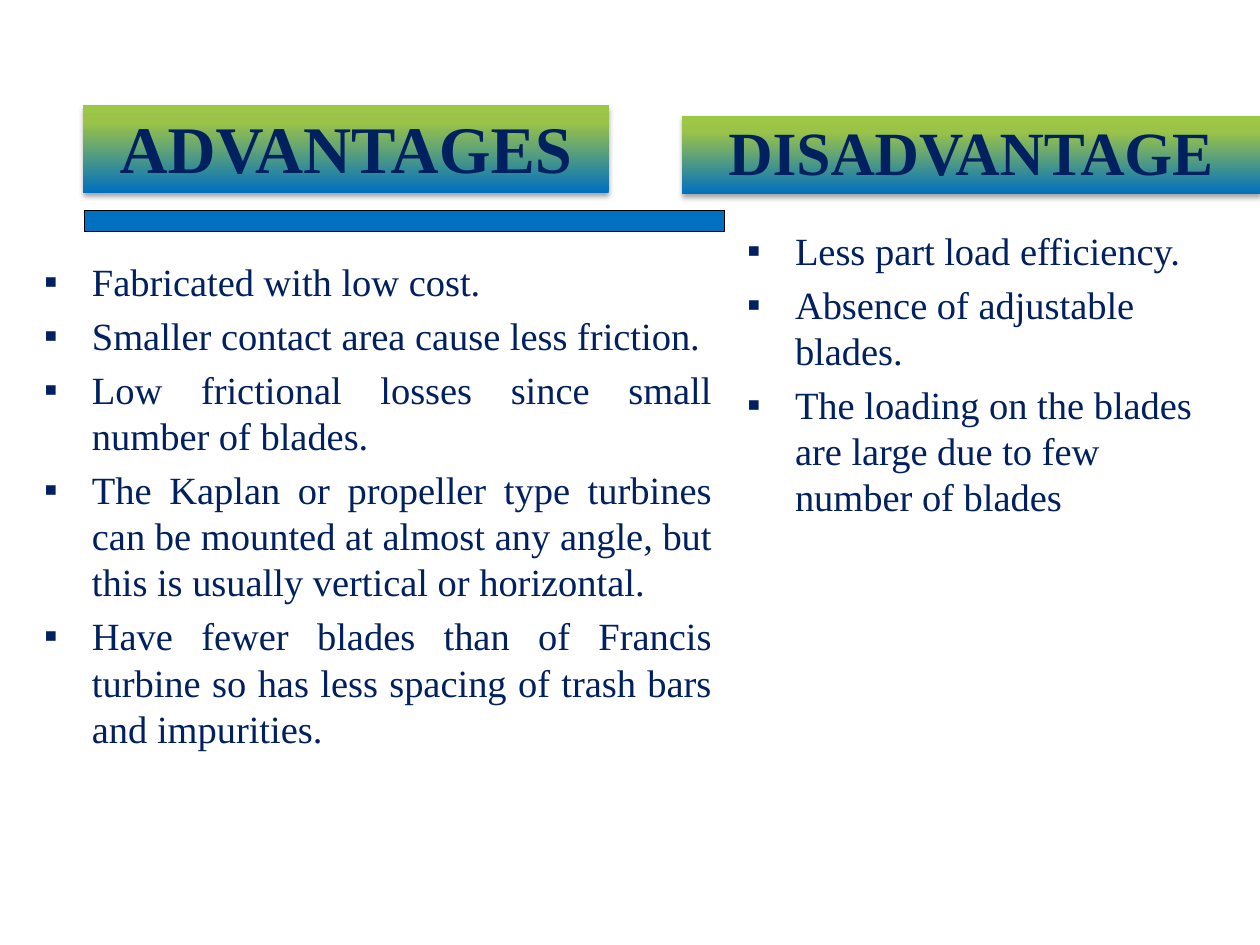
from copy import deepcopy

from lxml import etree
from pptx import Presentation
from pptx.dml.color import RGBColor
from pptx.enum.shapes import MSO_SHAPE
from pptx.enum.text import MSO_ANCHOR, MSO_AUTO_SIZE, PP_ALIGN
from pptx.oxml.ns import qn
from pptx.util import Inches, Pt

RECTANGLE = MSO_SHAPE.RECTANGLE
BOTTOM, TOP = MSO_ANCHOR.BOTTOM, MSO_ANCHOR.TOP
NO_AUTOFIT = MSO_AUTO_SIZE.NONE
CENTER, LEFT, JUSTIFY = PP_ALIGN.CENTER, PP_ALIGN.LEFT, PP_ALIGN.JUSTIFY
COMPARISON_LAYOUT = 3 + 1


def color(hex_code):
    """Return the colour of a hex string."""
    return RGBColor.from_string(hex_code)


class ComparisonSlide:
    """Hold the style and the current slide."""

    font = "Times New Roman"
    ink = "002060"
    blue = "0070C0"
    gradient = [(0, "0070C0"), (0.8, "9BC348"), (1, "9DC746")]
    indent = Inches(0.38)

    def __init__(self, deck):
        """Add a comparison slide without a title."""
        self.slide = deck.slides.add_slide(deck.slide_layouts[COMPARISON_LAYOUT])
        title = self.slide.shapes.title._element
        title.getparent().remove(title)

    def fill_placeholder(self, idx, box, lines, size, align, anchor, bold=False):
        """Place a placeholder and write its formatted paragraphs."""
        holder = self.slide.placeholders[idx]
        holder.left, holder.top, holder.width, holder.height = map(Inches, box)
        frame = holder.text_frame
        frame.text = "\n".join(lines)
        frame.auto_size = NO_AUTOFIT
        frame.vertical_anchor = anchor
        for paragraph in frame.paragraphs:
            paragraph.alignment = align
            for run in paragraph.runs:
                run.font.name = self.font
                run.font.size = Pt(size)
                run.font.bold = bold
                run.font.color.rgb = color(self.ink)
        return holder

    def heading(self, idx, box, wording, size):
        """Write a bold heading on a shaded gradient banner."""
        banner = self.fill_placeholder(idx, box, [wording], size, CENTER, BOTTOM, True)
        banner.fill.gradient()
        banner.fill.gradient_angle = 90
        stop_list = banner._element.spPr.find(".//" + qn("a:gsLst"))
        stop_list.append(deepcopy(stop_list[-1]))
        for stop, (position, hex_code) in zip(banner.fill.gradient_stops, self.gradient):
            stop.position = position
            stop.color.rgb = color(hex_code)
        self.drop_shadow(banner)

    def drop_shadow(self, banner):
        """Give a banner a soft shadow below it."""
        banner.shadow.inherit = False
        effects = banner._element.spPr.find(qn("a:effectLst"))
        shadow = etree.SubElement(
            effects, qn("a:outerShdw"), blurRad=str(Pt(3.1)), dist=str(Pt(1.8)),
            dir="5400000", rotWithShape="0")
        black = etree.SubElement(shadow, qn("a:srgbClr"), val="000000")
        etree.SubElement(black, qn("a:alpha"), val="35000")

    def bullets(self, idx, box, points, align):
        """Write a list with square bullets."""
        listing = self.fill_placeholder(idx, box, points, 22, align, TOP)
        for paragraph in listing.text_frame.paragraphs:
            properties = paragraph._p.get_or_add_pPr()
            properties.set("marL", str(self.indent))
            properties.set("indent", str(-self.indent))
            etree.SubElement(properties, qn("a:buFont"), typeface="Arial")
            etree.SubElement(properties, qn("a:buChar"), char="▪")

    def bar(self, box):
        """Draw an outlined blue bar."""
        rule = self.slide.shapes.add_shape(RECTANGLE, *map(Inches, box))
        rule.shadow.inherit = False
        rule.fill.solid()
        rule.fill.fore_color.rgb = color(self.blue)
        rule.line.color.rgb = color("000000")
        rule.line.width = Pt(0.75)


def main():
    """Build and save the deck."""
    deck = Presentation()
    deck.slide_width, deck.slide_height = Inches(10), Inches(7.5)
    comparison = ComparisonSlide(deck)
    comparison.heading(1, (0.66, 0.83, 4.17, 0.7), "ADVANTAGES", 38)
    comparison.bullets(2, (0.25, 2, 5.5, 5.5), [
        "Fabricated with low cost.",
        "Smaller contact area cause less friction.",
        "Low frictional losses since small number of blades.",
        "The Kaplan or propeller type turbines can be mounted at almost any angle, "
        "but this is usually vertical or horizontal.",
        "Have fewer blades than of Francis turbine so has less spacing of trash bars "
        "and impurities.",
    ], JUSTIFY)
    comparison.heading(3, (5.41, 0.92, 4.59, 0.62), "DISADVANTAGE", 35.1)
    comparison.bullets(4, (5.83, 1.75, 3.92, 2.33), [
        "Less part load efficiency.",
        "Absence of adjustable blades.",
        "The loading on the blades are large due to few number of blades",
    ], LEFT)
    comparison.bar((0.67, 1.67, 5.08, 0.17))
    deck.save("out.pptx")


if __name__ == "__main__":
    main()
